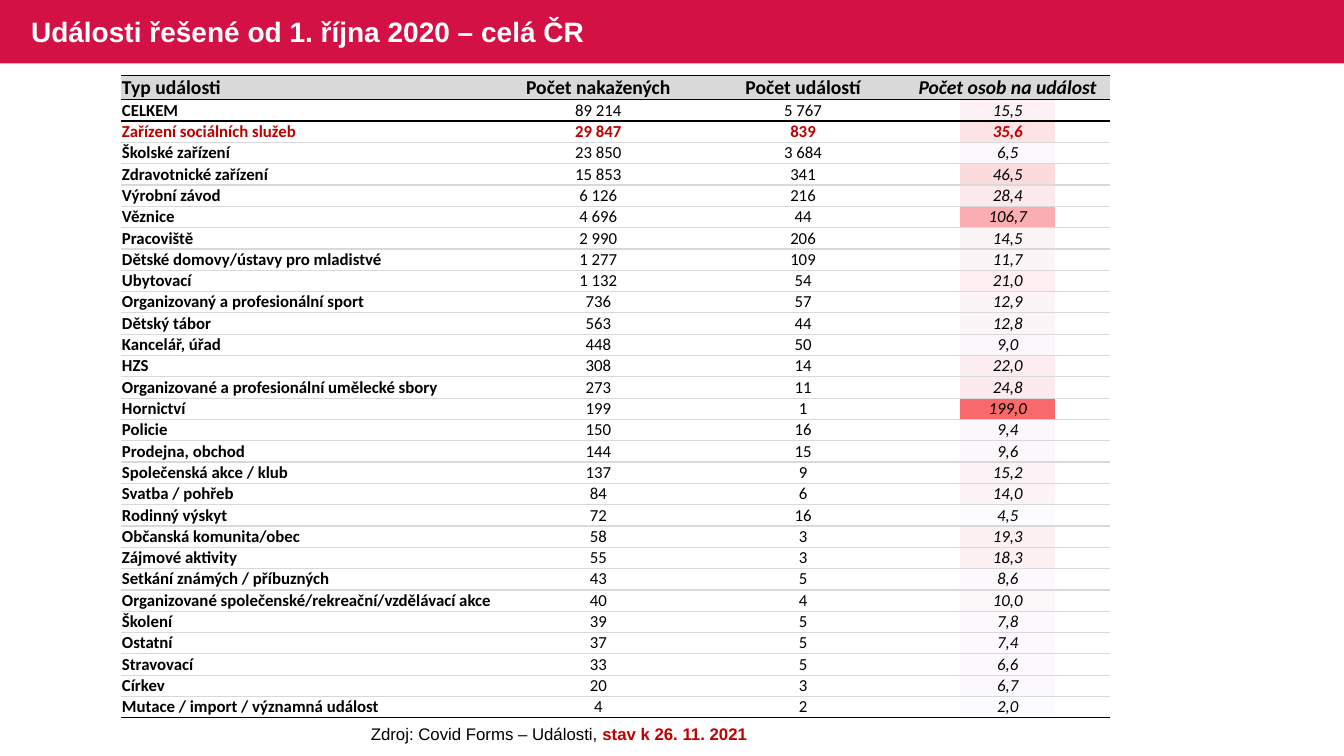
from math import ceil

from lxml import etree
from pptx import Presentation
from pptx.dml.color import RGBColor
from pptx.enum.shapes import MSO_SHAPE
from pptx.enum.text import MSO_ANCHOR, PP_ALIGN
from pptx.oxml.ns import qn
from pptx.util import Inches, Pt

RECTANGLE = MSO_SHAPE.RECTANGLE
MIDDLE, TOP = MSO_ANCHOR.MIDDLE, MSO_ANCHOR.TOP
LEFT, CENTER = PP_ALIGN.LEFT, PP_ALIGN.CENTER

# Content
TITLE = "Události řešené od 1. října 2020 – celá ČR"
SOURCE, STATUS_DATE = "Zdroj: Covid Forms – Události, ", "stav k 26. 11. 2021"
HEADINGS = ("Typ události", "Počet nakažených", "Počet událostí", "Počet osob na událost")
EVENTS = [
    ("CELKEM", "89 214", "5 767", "15,5"),
    ("Zařízení sociálních služeb", "29 847", "839", "35,6"),
    ("Školské zařízení", "23 850", "3 684", "6,5"),
    ("Zdravotnické zařízení", "15 853", "341", "46,5"),
    ("Výrobní závod", "6 126", "216", "28,4"),
    ("Věznice", "4 696", "44", "106,7"),
    ("Pracoviště", "2 990", "206", "14,5"),
    ("Dětské domovy/ústavy pro mladistvé", "1 277", "109", "11,7"),
    ("Ubytovací", "1 132", "54", "21,0"),
    ("Organizovaný a profesionální sport", "736", "57", "12,9"),
    ("Dětský tábor", "563", "44", "12,8"),
    ("Kancelář, úřad", "448", "50", "9,0"),
    ("HZS", "308", "14", "22,0"),
    ("Organizované a profesionální umělecké sbory", "273", "11", "24,8"),
    ("Hornictví", "199", "1", "199,0"),
    ("Policie", "150", "16", "9,4"),
    ("Prodejna, obchod", "144", "15", "9,6"),
    ("Společenská akce / klub", "137", "9", "15,2"),
    ("Svatba / pohřeb", "84", "6", "14,0"),
    ("Rodinný výskyt", "72", "16", "4,5"),
    ("Občanská komunita/obec", "58", "3", "19,3"),
    ("Zájmové aktivity", "55", "3", "18,3"),
    ("Setkání známých / příbuzných", "43", "5", "8,6"),
    ("Organizované společenské/rekreační/vzdělávací akce", "40", "4", "10,0"),
    ("Školení", "39", "5", "7,8"),
    ("Ostatní", "37", "5", "7,4"),
    ("Stravovací", "33", "5", "6,6"),
    ("Církev", "20", "3", "6,7"),
    ("Mutace / import / významná událost", "4", "2", "2,0"),
]
HIGHLIGHTED = "Zařízení sociálních služeb"

THEME = {
    "banner": "D31145", "white": "FFFFFF", "black": "000000", "accent": "C00000",
    "grey": "D9D9D9", "scale_low": (252, 252, 255), "scale_high": (248, 105, 107),
    "title_size": 20, "heading_size": 14, "body_size": 12, "blank_size": 8,
    "title_font": "Arial", "table_font": "Calibri",
}
NO_TABLE_STYLE = "{2D5ABB26-0587-4C30-8999-92F81FD0307C}"

# Layout in inches
TABLE_LEFT, TABLE_TOP, HEADER_HEIGHT = 1.2, 0.75, 0.24
COLUMN_WIDTHS = (3.72, 2.03, 2.03, 2.03)
SHADING_LEFT, SHADING_WIDTH = 9.52, 0.94
BODY_HEIGHT = 6.14
ROW_HEIGHT = BODY_HEIGHT / len(EVENTS)


def color(name):
    return RGBColor.from_string(THEME[name])


def add_run(paragraph, text, size, font, ink, bold=False, italic=False):
    run = paragraph.add_run()
    run.text = text
    run.font.size, run.font.name = Pt(THEME[size]), THEME[font]
    run.font.bold, run.font.italic = bold, italic
    run.font.color.rgb = color(ink)


def add_text_area(slide, left, top, width, height, anchor, align):
    frame = slide.shapes.add_textbox(
        Inches(left), Inches(top), Inches(width), Inches(height)).text_frame
    frame.word_wrap, frame.vertical_anchor = True, anchor
    frame.paragraphs[0].alignment = align
    return frame.paragraphs[0]


def add_plain_table(slide, left, top, widths, heights):
    table = slide.shapes.add_table(
        len(heights), len(widths), Inches(left), Inches(top),
        Inches(sum(widths)), Inches(sum(heights))).table
    table.first_row = table.horz_banding = False
    table._tbl.tblPr.find(qn("a:tableStyleId")).text = NO_TABLE_STYLE
    for column, width in zip(table.columns, widths):
        column.width = Inches(width)
    for row, height in zip(table.rows, heights):
        row.height = Inches(height)
    for cell in table.iter_cells():
        cell.margin_left = cell.margin_right = Inches(0.01)
        cell.margin_top = cell.margin_bottom = 0
        cell.vertical_anchor = MIDDLE
    return table


def set_border(cell, position, side, ink):
    line = etree.Element(qn("a:" + side), w=str(Pt(1)))
    fill = etree.SubElement(line, qn("a:solidFill"))
    etree.SubElement(fill, qn("a:srgbClr"), val=THEME[ink])
    cell._tc.get_or_add_tcPr().insert(position, line)


def scale_color(value, lowest, highest):
    share = (value - lowest) / (highest - lowest)
    return RGBColor(*(ceil(low + (high - low) * share) for low, high
                      in zip(THEME["scale_low"], THEME["scale_high"])))


def add_shading(slide):
    rates = [float(event[-1].replace(",", ".")) for event in EVENTS]
    table = add_plain_table(slide, SHADING_LEFT, TABLE_TOP + HEADER_HEIGHT,
                            [SHADING_WIDTH], [ROW_HEIGHT] * len(rates))
    for cell, rate in zip(table.iter_cells(), rates):
        cell.fill.solid()
        cell.fill.fore_color.rgb = scale_color(rate, min(rates), max(rates))
        # Small blank line keeps the row at its set height
        etree.SubElement(cell.text_frame.paragraphs[0]._p, qn("a:endParaRPr"),
                         sz=str(THEME["blank_size"] * 100))


def add_events(slide):
    rows = [HEADINGS] + EVENTS
    table = add_plain_table(slide, TABLE_LEFT, TABLE_TOP, COLUMN_WIDTHS,
                            [HEADER_HEIGHT] + [ROW_HEIGHT] * len(EVENTS))
    dark_edges = (0, 1, 2, len(rows))
    for r, row in enumerate(rows):
        is_heading, is_highlighted = r == 0, row[0] == HIGHLIGHTED
        for c, text in enumerate(row):
            cell = table.cell(r, c)
            if is_heading:
                cell.fill.solid()
                cell.fill.fore_color.rgb = color("grey")
            else:
                cell.fill.background()
            for position, side in enumerate(("lnT", "lnB")):
                ink = "black" if r + position in dark_edges else "grey"
                set_border(cell, position, side, ink)
            paragraph = cell.text_frame.paragraphs[0]
            paragraph.alignment = CENTER if c else LEFT
            add_run(paragraph, text, "heading_size" if is_heading else "body_size",
                    "table_font", "accent" if is_highlighted else "black",
                    bold=is_heading or is_highlighted or c == 0,
                    italic=c == len(row) - 1)


def main():
    deck = Presentation()
    deck.slide_width, deck.slide_height = Inches(13.33), Inches(7.5)
    slide = deck.slides.add_slide(deck.slide_layouts[6])

    # Banner and title
    banner = slide.shapes.add_shape(RECTANGLE, 0, 0, deck.slide_width, Inches(0.63))
    banner.shadow.inherit = False
    banner.fill.solid()
    banner.fill.fore_color.rgb = color("banner")
    banner.line.fill.background()
    title = add_text_area(slide, 0.21, 0.02, 8.13, 0.63, MIDDLE, LEFT)
    title.line_spacing = 0.9
    add_run(title, TITLE, "title_size", "title_font", "white", bold=True)

    # Colour scale lies behind the last column of the event table
    add_shading(slide)
    add_events(slide)

    # Source line
    source = add_text_area(slide, 2.06, 7.13, 6.97, 0.3, TOP, CENTER)
    add_run(source, SOURCE, "body_size", "title_font", "black")
    add_run(source, STATUS_DATE, "body_size", "title_font", "accent", bold=True)

    deck.save("out.pptx")


if __name__ == "__main__":
    main()
